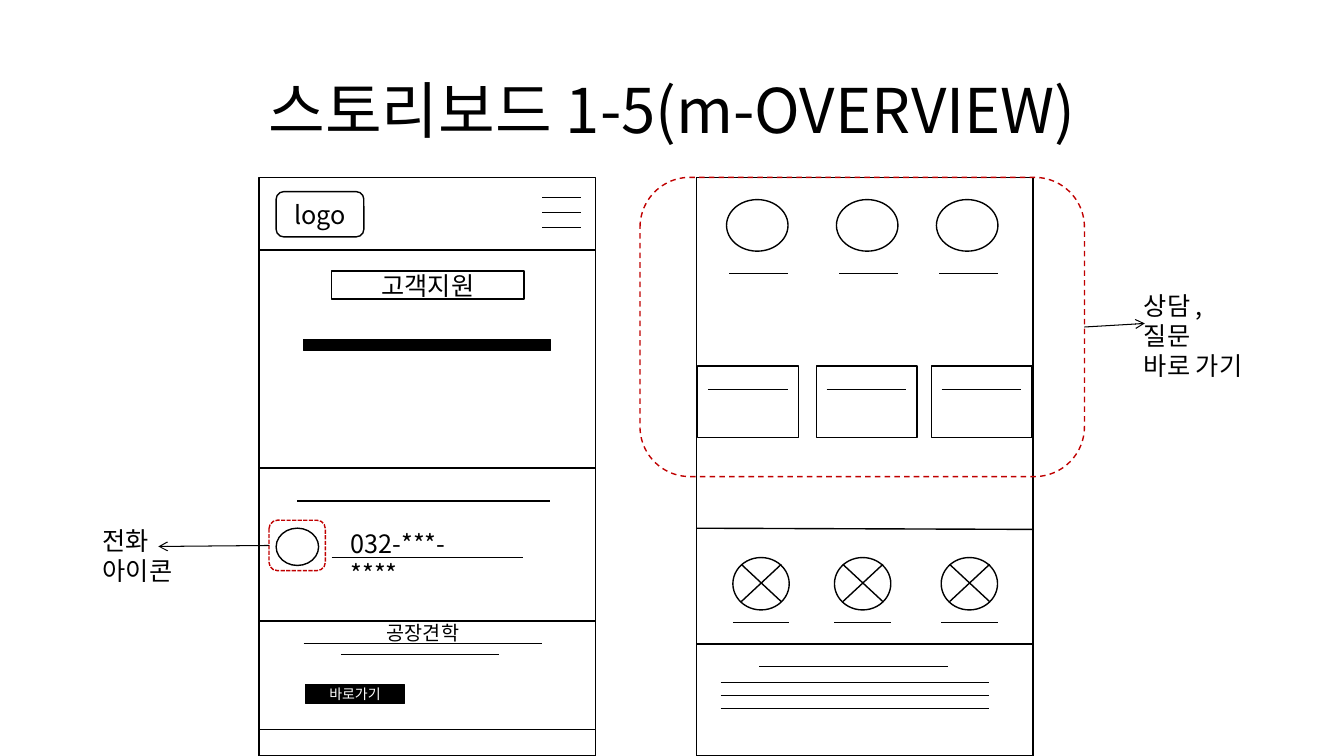
import pptx
import pptx.util
import pptx.enum.dml
import pptx.enum.shapes
import pptx.enum.text
import pptx.dml.color
import pptx.oxml.ns
import lxml.etree

Cm = pptx.util.Cm
SHAPES = pptx.enum.shapes.MSO_SHAPE
DASHES = pptx.enum.dml.MSO_LINE
ALIGN = pptx.enum.text.PP_ALIGN
ANCHOR = pptx.enum.text.MSO_ANCHOR
qn = pptx.oxml.ns.qn

COLORS = {"ink": "000000", "paper": "FFFFFF", "mark": "C00000"}
FONT = "Noto Sans CJK KR"


def rgb(name):
    return pptx.dml.color.RGBColor.from_string(COLORS[name])


def write(tf, text, size=18, color="ink", align=ALIGN.LEFT, anchor=ANCHOR.TOP, spacing=None):
    tf.word_wrap = True
    tf.vertical_anchor = anchor
    for i, line in enumerate(text.split("\n")):
        p = tf.add_paragraph() if i else tf.paragraphs[0]
        p.alignment = align
        p.line_spacing = spacing
        r = p.add_run()
        r.text = line
        r.font.size = pptx.util.Pt(size)
        r.font.name = FONT
        r.font.color.rgb = rgb(color)
        lxml.etree.SubElement(r.font._element, qn("a:ea")).set("typeface", FONT)


class Wireframe:
    def __init__(self, slide):
        self.slide = slide

    def stroke(self, line, color, width, dash=None):
        line.color.rgb = rgb(color)
        line.width = pptx.util.Pt(width)
        if dash:
            line.dash_style = dash

    def box(self, x, y, w, h, kind=SHAPES.RECTANGLE, fill="paper", line="ink", dash=None,
            text=None, **style):
        sp = self.slide.shapes.add_shape(kind, Cm(x), Cm(y), Cm(w), Cm(h))
        sp.shadow.inherit = False
        if fill:
            sp.fill.solid()
            sp.fill.fore_color.rgb = rgb(fill)
        else:
            sp.fill.background()
        self.stroke(sp.line, line, 1, dash)
        if text:
            write(sp.text_frame, text, align=ALIGN.CENTER, anchor=ANCHOR.MIDDLE, **style)
        return sp

    def oval(self, x, y, w, h):
        return self.box(x, y, w, h, SHAPES.OVAL)

    def line(self, x1, y1, x2, y2, width=0.5):
        cxn = self.slide.shapes.add_connector(
            pptx.enum.shapes.MSO_CONNECTOR.STRAIGHT, Cm(x1), Cm(y1), Cm(x2), Cm(y2))
        self.stroke(cxn.line, "ink", width)
        lxml.etree.SubElement(cxn._element.spPr, qn("a:effectLst"))
        return cxn

    def rule(self, x, y, length, width=0.5):
        return self.line(x, y, x + length, y, width)

    def arrow(self, sp, side, x1, y1, x2, y2):
        cxn = self.line(x1, y1, x2, y2, 0.75)
        cxn.begin_connect(sp, side)
        tail = lxml.etree.SubElement(cxn.line._get_or_add_ln(), qn("a:tailEnd"))
        tail.set("type", "arrow")

    def label(self, x, y, w, h, text, **style):
        tb = self.slide.shapes.add_textbox(Cm(x), Cm(y), Cm(w), Cm(h))
        write(tb.text_frame, text, **style)


def draw_left_screen(wf):
    x, w = 6.53, 8.48
    wf.box(x, 4.47, w, 14.58)
    wf.box(6.96, 4.83, 2.21, 1.14, SHAPES.ROUNDED_RECTANGLE, text="logo")
    for i in range(3):
        wf.rule(13.67, 4.98 + i * 0.38, 0.97, 1)
    wf.box(x, 6.3, w, 5.49)
    wf.box(8.36, 6.83, 4.85, 0.71, text="고객지원")
    wf.box(7.65, 8.56, 6.22, 0.28, fill="ink")
    wf.rule(7.49, 12.62, 6.38, 1)
    wf.oval(6.96, 13.31, 1.07, 0.94)
    wf.rule(8.36, 14.05, 4.83)
    wf.box(x, 15.65, w, 2.74)
    wf.box(7.7, 17.25, 2.49, 0.48, fill="ink", text="바로가기", size=10, color="paper")
    wf.label(8.59, 13.18, 3.99, 1.02, "032-***-****")
    wf.rule(7.65, 16.2, 6.02)
    wf.rule(8.59, 16.48, 3.99)
    wf.label(9.5, 15.52, 2.51, 0.86, "공장견학", size=14)


def draw_right_screen(wf):
    x, w = 17.55, 8.48
    wf.box(x, 4.47, w, 14.58)
    wf.line(x, 13.31, x + w, 13.34, 1)
    wf.rule(x, 16.23, w, 1)
    for icon_x in (18.47, 21.03, 23.72):
        wf.oval(icon_x, 14.05, 1.42, 1.32)
        left, right = icon_x + 0.21, icon_x + 1.22
        wf.line(left, 14.22, right, 15.16, 1)
        wf.line(right, 14.22, left, 15.16, 1)
        wf.rule(icon_x, 15.67, 1.42)
    wf.rule(19.13, 16.79, 4.75)
    for i in range(3):
        wf.rule(18.16, 17.19 + i * 0.33, 6.76)
    for icon_x in (18.31, 21.08, 23.6):
        wf.oval(icon_x, 5.03, 1.55, 1.3)
        wf.rule(icon_x + 0.07, 6.88, 1.47)
    for card_x in (17.58, 20.57, 23.47):
        wf.box(card_x, 9.22, 2.54, 1.8)
        wf.rule(card_x + 0.26, 9.8, 2.01)


def draw_callouts(wf):
    call = wf.box(6.78, 13.11, 1.42, 1.27, SHAPES.ROUNDED_RECTANGLE, None, "mark", DASHES.SQUARE_DOT)
    wf.arrow(call, 1, 6.78, 13.75, 3.99, 13.77)
    wf.label(2.34, 13.11, 2.44, 1.8, "전화\n아이콘")
    help_area = wf.box(16.13, 4.47, 11.2, 7.54, SHAPES.ROUNDED_RECTANGLE, None, "mark", DASHES.DASH)
    wf.arrow(help_area, 3, 27.33, 8.24, 28.85, 8.15)
    wf.label(28.58, 7.19, 3.2, 1.8, "상담 , 질문\n바로 가기")


def main():
    prs = pptx.Presentation()
    prs.slide_width, prs.slide_height = Cm(33.87), Cm(19.05)
    wf = Wireframe(prs.slides.add_slide(prs.slide_layouts[6]))
    wf.label(2.34, 1.02, 29.21, 3.68, "스토리보드 1-5(m-OVERVIEW)", size=44,
             align=ALIGN.CENTER, anchor=ANCHOR.MIDDLE, spacing=0.9)
    draw_left_screen(wf)
    draw_right_screen(wf)
    draw_callouts(wf)
    prs.save("out.pptx")


if __name__ == "__main__":
    main()
